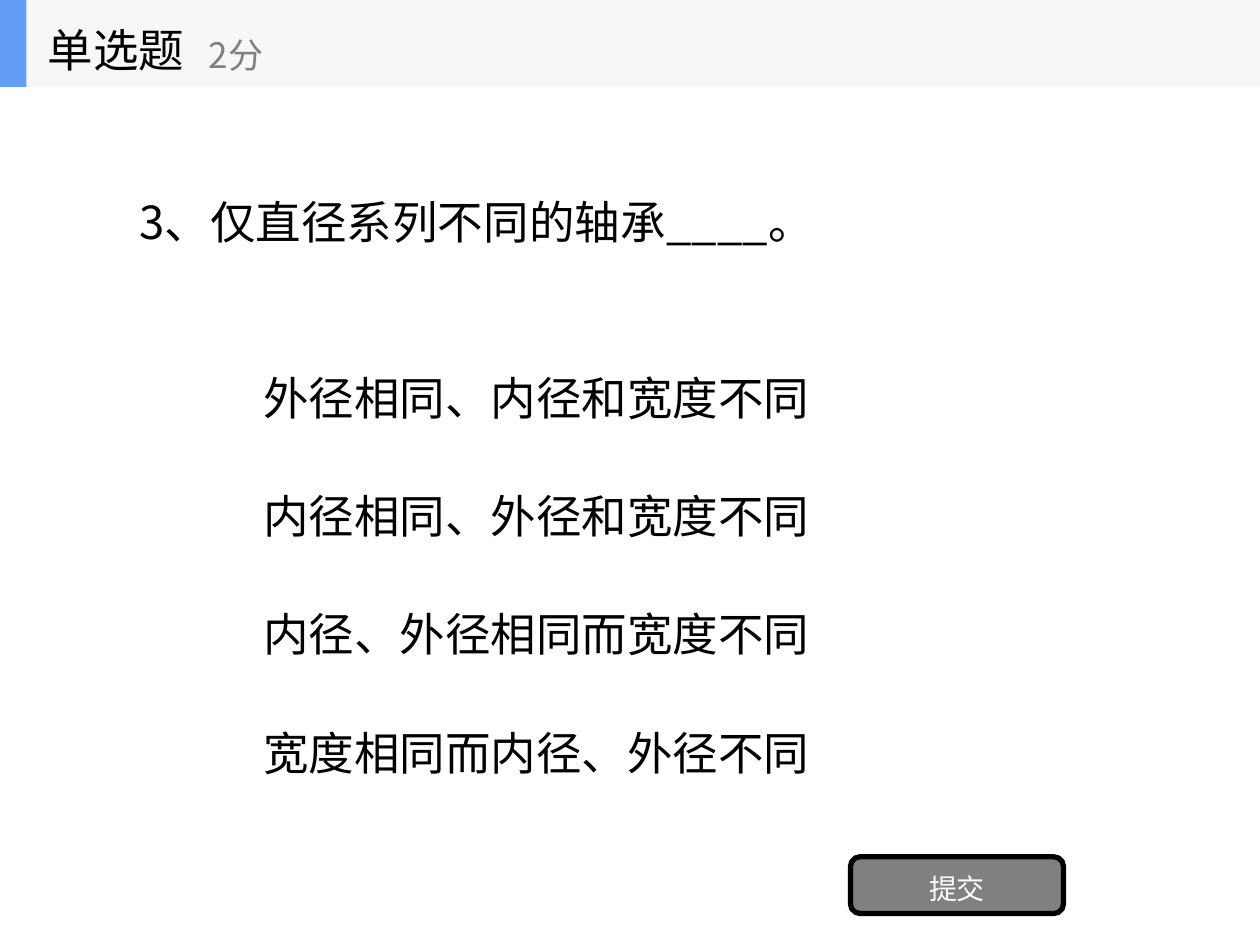
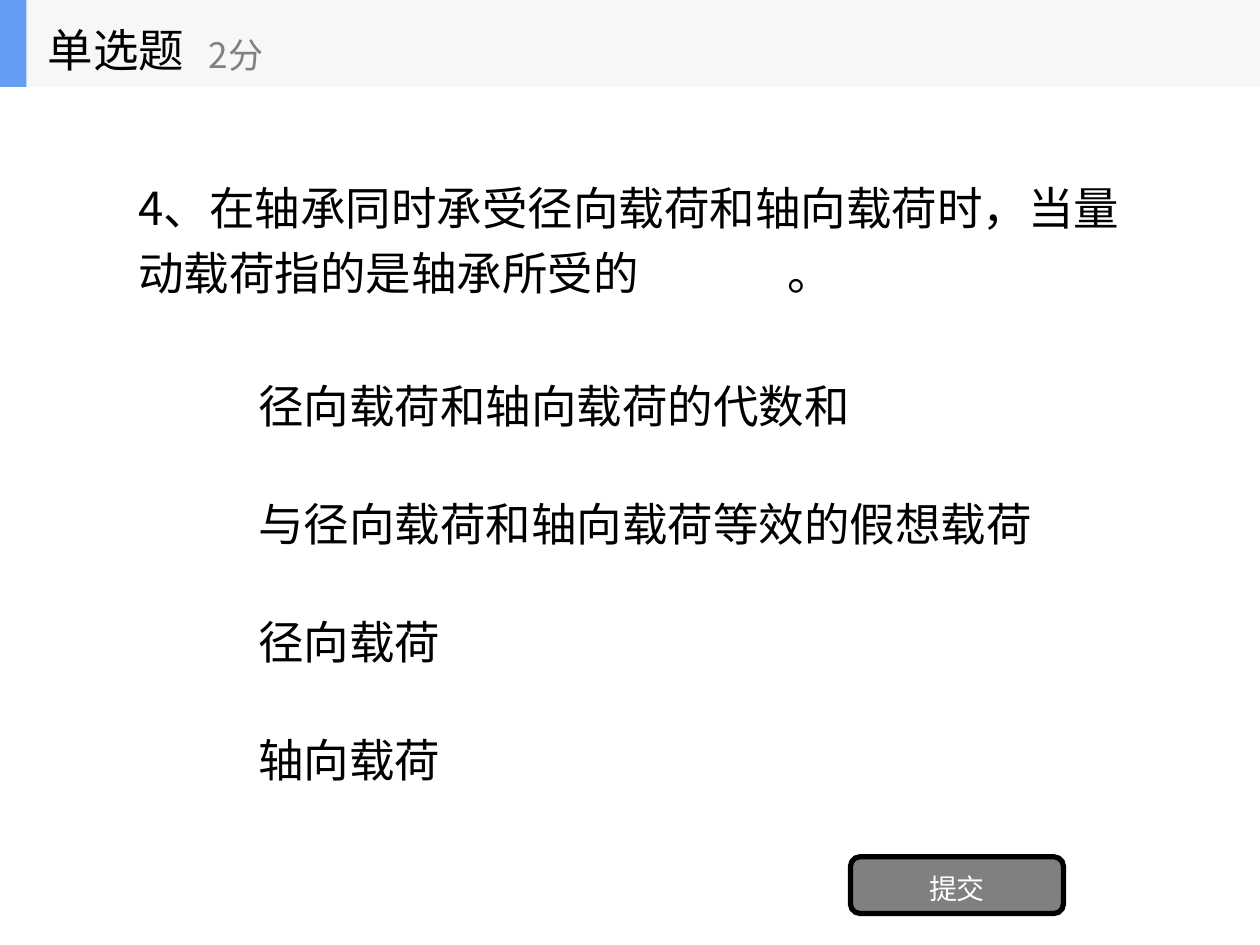
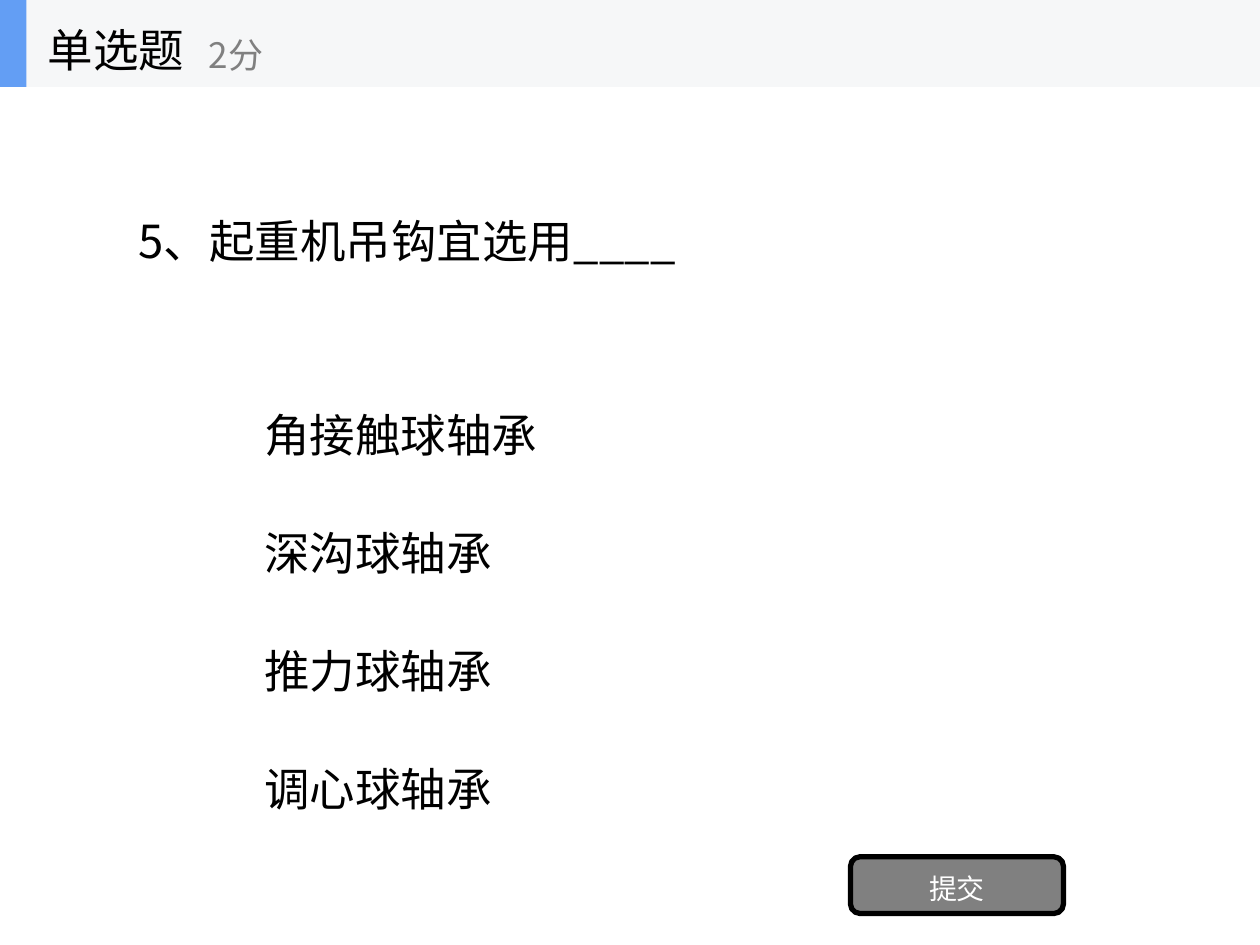
from dataclasses import dataclass
from typing import NamedTuple

from lxml import etree
from pptx import Presentation
from pptx.dml.color import RGBColor
from pptx.enum.shapes import MSO_SHAPE
from pptx.enum.text import MSO_ANCHOR, PP_ALIGN
from pptx.oxml.ns import qn
from pptx.util import Emu, Inches, Pt

RECTANGLE, ROUNDED = MSO_SHAPE.RECTANGLE, MSO_SHAPE.ROUNDED_RECTANGLE
MIDDLE = MSO_ANCHOR.MIDDLE
LEFT, CENTER = PP_ALIGN.LEFT, PP_ALIGN.CENTER

COLORS = {
    "ink": "000000",
    "muted": "808080",
    "button text": "FFFFFF",
    "band": "F6F7F8",
    "accent": "639EF4",
}
FONT = "Noto Sans CJK SC"
BODY_SIZE, SCORE_SIZE, BUTTON_SIZE = 26, 20, 16
LINE_SPACING = 1.2

SLIDE_WIDTH, SLIDE_HEIGHT = Inches(10), Inches(7.5)
COLUMNS, ROWS = 100, 75
COLUMN, ROW = SLIDE_WIDTH / COLUMNS, SLIDE_HEIGHT / ROWS


class Area(NamedTuple):
    """A rectangle in grid columns and rows."""
    column: float
    row: float
    columns: float
    rows: float

    def emu(self) -> tuple[Emu, Emu, Emu, Emu]:
        return (Emu(round(self.column * COLUMN)), Emu(round(self.row * ROW)),
                Emu(round(self.columns * COLUMN)), Emu(round(self.rows * ROW)))


@dataclass(frozen=True)
class Question:
    stem: str
    stem_column: float
    stem_row: float
    options: tuple[str, ...]
    option_column: float
    option_row: float
    blank_end: float = 0  # columns from the text edge to the end of a ruled blank


BAND_ROWS = 6.9
BAND = Area(0, 0, COLUMNS, BAND_ROWS)
ACCENT = Area(0, 0, 2.1, BAND_ROWS)
KIND = Area(2.8, 0, 20.8, BAND_ROWS)
SCORE = Area(15.6, 1.2, 25, 5.6)
BUTTON = Area(67.5, 68, 16.9, 4.5)
STEM_COLUMNS, STEM_ROWS = 80, 23.4
OPTION_COLUMNS, OPTION_ROWS, OPTION_PITCH = 70, 7, 9.38

QUESTIONS = (
    Question("3、仅直径系列不同的轴承____。", 10.1, 5.4,
             ("外径相同、内径和宽度不同", "内径相同、外径和宽度不同",
              "内径、外径相同而宽度不同", "宽度相同而内径、外径不同"),
             19.9, 27.6),
    Question("4、在轴承同时承受径向载荷和轴向载荷时，当量动载荷指的是轴承所受的\t 。", 10, 6.9,
             ("径向载荷和轴向载荷的代数和", "与径向载荷和轴向载荷等效的假想载荷",
              "径向载荷", "轴向载荷"),
             19.5, 28.2, blank_end=50.7),
    Question("5、起重机吊钩宜选用____", 10, 6.9,
             ("角接触球轴承", "深沟球轴承", "推力球轴承", "调心球轴承"),
             20, 30.5),
)


def rgb(name: str) -> RGBColor:
    return RGBColor.from_string(COLORS[name])


def write(shape, text: str, size: float, color: str, align=LEFT,
          wrap: bool = True, tab: float = 0) -> None:
    """Fill a shape with one paragraph; each tab in it becomes a ruled blank."""
    frame = shape.text_frame
    frame.word_wrap = wrap
    frame.vertical_anchor = MIDDLE
    paragraph = frame.paragraphs[0]
    paragraph.alignment = align
    paragraph.line_spacing = LINE_SPACING
    if tab:
        stops = etree.SubElement(paragraph._p.get_or_add_pPr(), qn("a:tabLst"))
        etree.SubElement(stops, qn("a:tab"), pos=str(round(tab * COLUMN)), algn="l")
    before, blank, after = text.partition("\t")
    for part in filter(None, (before, blank, after)):
        run = paragraph.add_run()
        run.text = part
        if part == "\t":
            run.font.underline = True
    font = paragraph.font
    font.size = Pt(size)
    font.color.rgb = rgb(color)
    font.name = FONT
    east_asian = etree.Element(qn("a:ea"), typeface=FONT)
    font._element.find(qn("a:latin")).addnext(east_asian)


def add_text(shapes, area: Area, text: str, size: float = BODY_SIZE,
             color: str = "ink", wrap: bool = True, tab: float = 0) -> None:
    write(shapes.add_textbox(*area.emu()), text, size, color, wrap=wrap, tab=tab)


def add_block(shapes, area: Area, fill: str, preset=RECTANGLE):
    block = shapes.add_shape(preset, *area.emu())
    block.shadow.inherit = False
    block.fill.solid()
    block.fill.fore_color.rgb = rgb(fill)
    block.line.fill.background()
    return block


def add_header(slide) -> None:
    header = slide.shapes.add_group_shape().shapes
    add_block(header, BAND, "band")
    add_block(header, ACCENT, "accent")
    add_text(header, KIND, "单选题", wrap=False)
    add_text(header, SCORE, "2分", SCORE_SIZE, "muted", wrap=False)


def add_submit_button(slide) -> None:
    button = add_block(slide.shapes, BUTTON, "muted", ROUNDED)
    button.line.color.rgb = rgb("ink")
    button.line.width = Pt(3)
    write(button, "提交", BUTTON_SIZE, "button text", CENTER, wrap=False)


def add_question(slide, question: Question) -> None:
    stem_area = Area(question.stem_column, question.stem_row, STEM_COLUMNS, STEM_ROWS)
    add_text(slide.shapes, stem_area, question.stem, tab=question.blank_end)
    for index, option in enumerate(question.options):
        row = question.option_row + index * OPTION_PITCH
        add_text(slide.shapes,
                 Area(question.option_column, row, OPTION_COLUMNS, OPTION_ROWS), option)


def main() -> None:
    deck = Presentation()
    deck.slide_width, deck.slide_height = SLIDE_WIDTH, SLIDE_HEIGHT
    blank_layout = deck.slide_layouts[6]
    for question in QUESTIONS:
        slide = deck.slides.add_slide(blank_layout)
        add_question(slide, question)
        add_submit_button(slide)
        add_header(slide)
    deck.save("out.pptx")


if __name__ == "__main__":
    main()
